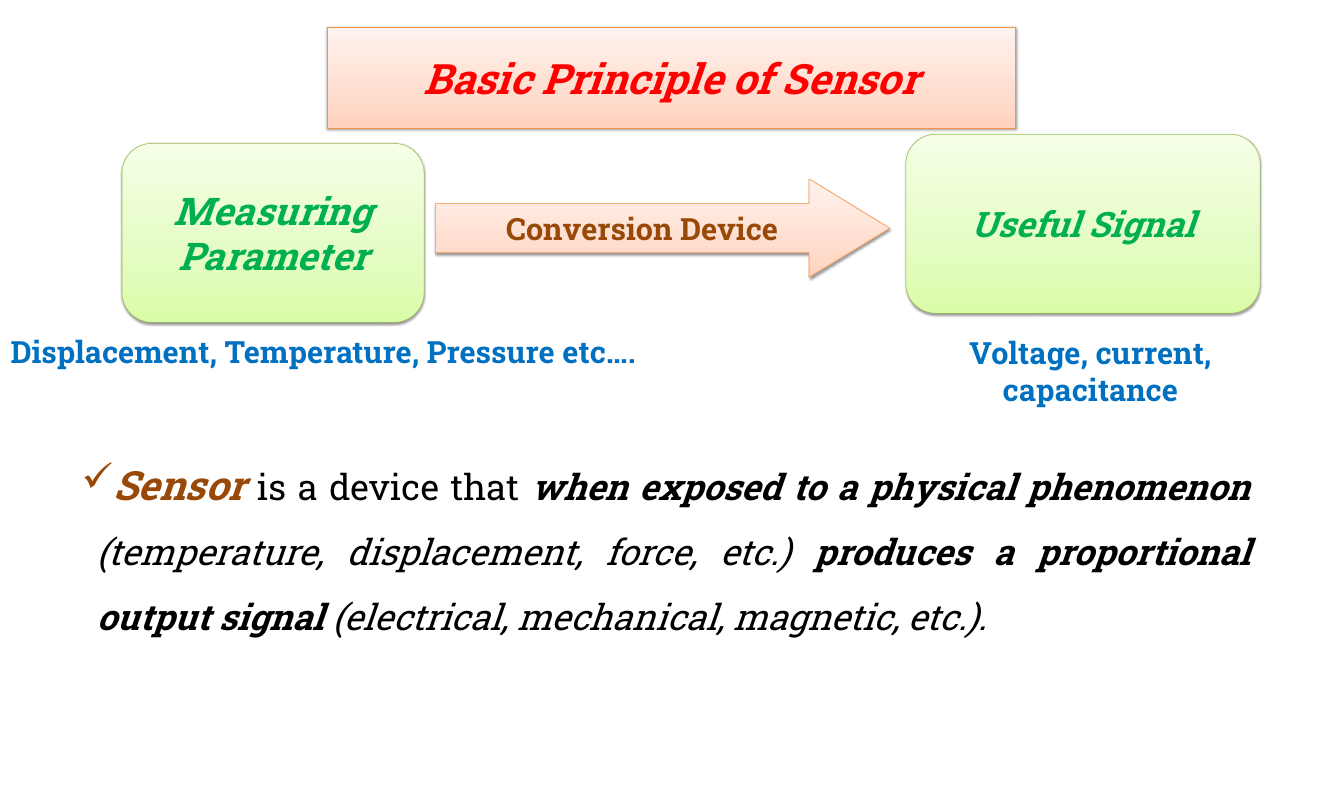
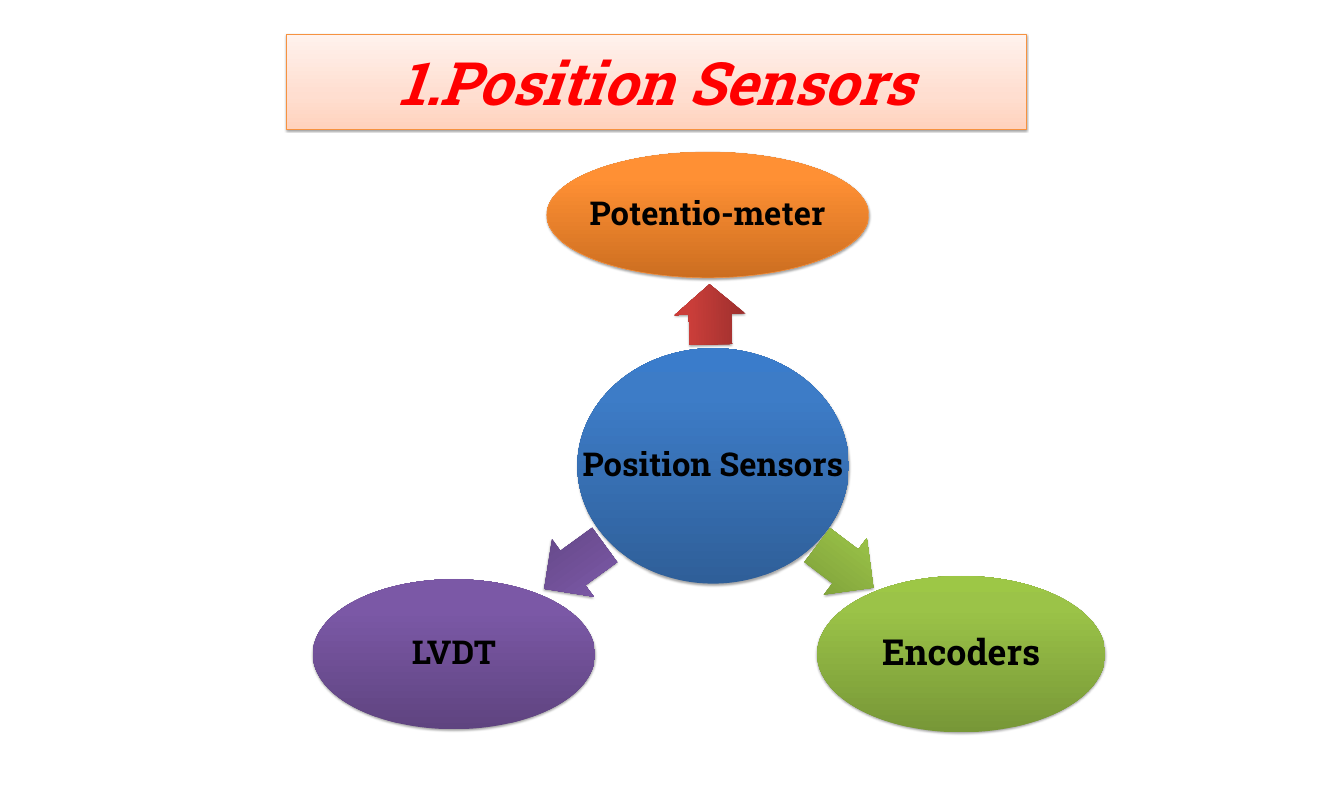
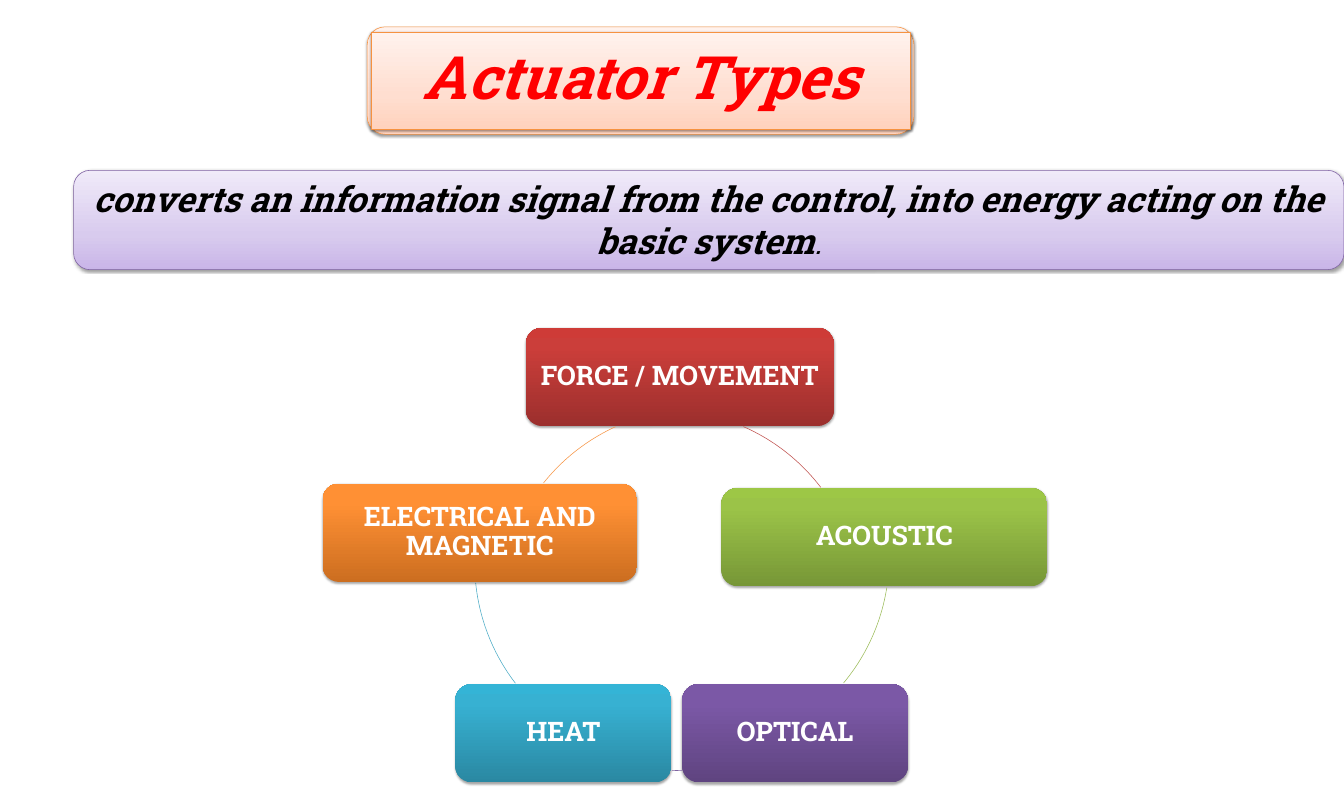
from dataclasses import dataclass
from typing import Optional

from lxml.etree import SubElement
from pptx import Presentation
from pptx.dml.color import RGBColor
from pptx.enum.shapes import MSO_SHAPE
from pptx.enum.text import MSO_ANCHOR, PP_ALIGN
from pptx.oxml.ns import qn
from pptx.shapes.autoshape import Shape
from pptx.slide import Slide
from pptx.text.text import Font, TextFrame
from pptx.util import Pt

FONT = "Roboto Slab"
COLORS = {
    "title": "FF0000", "text": "000000", "white": "FFFFFF", "term": "984807",
    "block": "00B050", "caption": "0070C0", "shadow": "000000",
    "orange_line": "F69240", "green_line": "98B955", "purple_line": "7D60A0",
    "red_arc": "C0504D", "green_arc": "9BBB59", "purple_arc": "8064A2",
    "teal_arc": "4BACC6", "orange_arc": "F79646",
}
# Gradient colours from bottom to top
GRADIENTS = {
    "pale_peach": ("FFD2BD", "FFDED0", "FFF2ED"),
    "pale_green": ("DAFDA7", "E4FCC2", "F5FFE7"),
    "pale_purple": ("C9B5E8", "D8CBEE", "F0EAF9"),
    "blue": ("2F5F99", "3D7CC7", "3A7CCB"),
    "red": ("9C2F2D", "CB3E3A", "CE3B37"),
    "orange": ("CC6E20", "FF9034", "FF9136"),
    "green": ("779737", "9BC348", "9DC746"),
    "purple": ("5F4480", "7B58A6", "7C57A8"),
    "teal": ("2A88A2", "37B1D2", "34B4D6"),
}


@dataclass(frozen=True)
class Box:
    left: float
    top: float
    width: float
    height: float

    def emu(self) -> tuple[Pt, Pt, Pt, Pt]:
        return Pt(self.left), Pt(self.top), Pt(self.width), Pt(self.height)


@dataclass(frozen=True)
class Style:
    size: float
    color: str = "text"
    bold: bool = True
    italic: bool = False


@dataclass(frozen=True)
class Span:
    text: str
    style: Style


@dataclass(frozen=True)
class Arrow:
    box: Box
    rotation: float
    gradient: str


@dataclass(frozen=True)
class Sensor:
    label: str
    box: Box
    gradient: str
    size: float = 44
    line: Optional[str] = None


@dataclass(frozen=True)
class Actuator:
    """A ring node, with the arc that leads clockwise to the next one."""
    label: str
    left: float
    top: float
    width: float
    gradient: str
    arc_left: float
    arc_top: float
    arc_start: float
    arc_end: float
    arc_color: str


def rgb(name: str) -> RGBColor:
    return RGBColor.from_string(COLORS[name])


def style_font(font: Font, style: Style) -> None:
    font.name = FONT
    font.size = Pt(style.size)
    font.bold = style.bold
    font.italic = style.italic
    font.color.rgb = rgb(style.color)


def set_insets(frame: TextFrame, side: float, end: float) -> None:
    frame.margin_left = frame.margin_right = Pt(side)
    frame.margin_top = frame.margin_bottom = Pt(end)


def write_lines(frame: TextFrame, lines: list[str], style: Style,
                spacing: float = 1, wrap: bool = True,
                anchor: MSO_ANCHOR = MSO_ANCHOR.MIDDLE) -> None:
    frame.word_wrap = wrap
    frame.vertical_anchor = anchor
    for index, line in enumerate(lines):
        paragraph = frame.add_paragraph() if index else frame.paragraphs[0]
        paragraph.text = line
        paragraph.alignment = PP_ALIGN.CENTER
        paragraph.line_spacing = spacing
        style_font(paragraph.font, style)


def write_spans(frame: TextFrame, spans: list[Span], align: PP_ALIGN) -> None:
    frame.word_wrap = True
    frame.vertical_anchor = MSO_ANCHOR.TOP
    paragraph = frame.paragraphs[0]
    paragraph.alignment = align
    for span in spans:
        run = paragraph.add_run()
        run.text = span.text
        style_font(run.font, span.style)


def fill_gradient(shape: Shape, name: str) -> None:
    """Fill upwards; pale gradients have their middle stop lower than strong ones."""
    shape.fill.gradient()
    shape.fill.gradient_angle = 90
    stops = shape.element.spPr.find(".//" + qn("a:gsLst"))
    for stop in list(stops):
        stops.remove(stop)
    middle = 35 if name.startswith("pale") else 80
    for position, color in zip((0, middle, 100), GRADIENTS[name]):
        stop = SubElement(stops, qn("a:gs"), pos=str(position * 1000))
        SubElement(stop, qn("a:srgbClr"), val=color)


def cast_shadow(shape: Shape, opacity: int, distance: float) -> None:
    shape.shadow.inherit = False
    effects = shape.element.spPr.find(qn("a:effectLst"))
    shadow = SubElement(effects, qn("a:outerShdw"), blurRad=str(Pt(3.1)),
                        dist=str(Pt(distance)), dir="5400000", rotWithShape="0")
    color = SubElement(shadow, qn("a:srgbClr"), val=COLORS["shadow"])
    SubElement(color, qn("a:alpha"), val=str(opacity * 1000))


def add_block(slide: Slide, kind: MSO_SHAPE, box: Box, gradient: str,
              line: Optional[str] = None) -> Shape:
    shape = slide.shapes.add_shape(kind, *box.emu())
    fill_gradient(shape, gradient)
    if line:
        shape.line.color.rgb = rgb(line)
        shape.line.width = Pt(0.75)
    else:
        shape.line.fill.background()
    if gradient.startswith("pale"):
        cast_shadow(shape, 38, 1.6)
    else:
        cast_shadow(shape, 35, 1.8)
    return shape


def add_title(slide: Slide, text: str, box: Box, size: float = 80,
              spacing: float = 1) -> None:
    banner = add_block(slide, MSO_SHAPE.RECTANGLE, box, "pale_peach", "orange_line")
    write_lines(banner.text_frame, [text], Style(size, "title", italic=True), spacing)


def add_caption(slide: Slide, text: str, box: Box) -> None:
    caption = slide.shapes.add_textbox(*box.emu())
    write_lines(caption.text_frame, [text], Style(41, "caption"), anchor=MSO_ANCHOR.TOP)


def add_definition(slide: Slide) -> None:
    definition = slide.shapes.add_textbox(*Box(97.2, 577.4, 1589.8, 362.9).emu())
    frame = definition.text_frame
    set_insets(frame, 12.2, 6.5)
    paragraph = frame.paragraphs[0]
    paragraph.line_spacing = 1.5
    properties = paragraph._p.get_or_add_pPr()
    properties.set("marL", str(Pt(20)))
    properties.set("indent", str(Pt(-20)))
    SubElement(properties, qn("a:buChar"), char="✓")
    strong = Style(48, italic=True)
    light = Style(48, bold=False, italic=True)
    write_spans(frame, [
        Span("Sensor", Style(54, "term", italic=True)),
        Span(" is a device that ", Style(48, bold=False)),
        Span("when exposed to a physical phenomenon ", strong),
        Span("(temperature, displacement, force, etc.) ", light),
        Span("produces a proportional output signal ", strong),
        Span("(electrical, mechanical, magnetic, etc.).", light),
    ], PP_ALIGN.JUSTIFY)


def build_principle(slide: Slide) -> None:
    add_title(slide, "Basic Principle of Sensor", Box(437.8, 36, 922.3, 135.4), 56)
    for lines, box, size in (
        (["Measuring", "Parameter"], Box(163.4, 192.2, 404.6, 239.8), 51),
        (["Useful Signal"], Box(1213.2, 180, 474.5, 239.8), 47),
    ):
        block = add_block(slide, MSO_SHAPE.ROUNDED_RECTANGLE, box, "pale_green", "green_line")
        write_lines(block.text_frame, lines, Style(size, "block", italic=True), wrap=False)
    conversion = add_block(slide, MSO_SHAPE.RIGHT_ARROW, Box(583.2, 239.8, 608.4, 131.8),
                           "pale_peach", "orange_line")
    conversion.adjustments[0] = 0.5
    conversion.adjustments[1] = 0.82
    write_lines(conversion.text_frame, ["Conversion Device"], Style(41, "term"), wrap=False)
    add_caption(slide, "Voltage, current, capacitance", Box(1198.1, 444.2, 524.9, 181.4))
    add_caption(slide, "Displacement, Temperature, Pressure etc….",
                Box(0, 442.8, 866.9, 181.4))
    add_definition(slide)


SENSORS = (
    Sensor("Position Sensors", Box(773.3, 466.6, 363.6, 315.4), "blue"),
    Sensor("Potentio-meter", Box(732.2, 203.8, 431.3, 168.5), "orange", line="orange_line"),
    Sensor("Encoders", Box(1094.4, 771.8, 385.9, 209.5), "green", 48),
    Sensor("LVDT", Box(419, 776.2, 378, 200.9), "purple"),
)
ARROWS = (
    Arrow(Box(910.8, 373.7, 80.6, 95), 268.8, "red"),
    Arrow(Box(1085, 711.4, 94.3, 95), 37.2, "green"),
    Arrow(Box(719.3, 712.1, 100.1, 95), 144, "purple"),
)


def build_position_sensors(slide: Slide) -> None:
    add_title(slide, "1.Position Sensors", Box(383, 45.4, 991.4, 127.4))
    for sensor in SENSORS:
        oval = add_block(slide, MSO_SHAPE.OVAL, sensor.box, sensor.gradient, sensor.line)
        set_insets(oval.text_frame, 4.5, 4.5)
        write_lines(oval.text_frame, [sensor.label], Style(sensor.size), 0.9, wrap=False)
    for arrow in ARROWS:
        pointer = add_block(slide, MSO_SHAPE.RIGHT_ARROW, arrow.box, arrow.gradient)
        pointer.adjustments[0] = 0.6
        pointer.adjustments[1] = 0.5
        pointer.rotation = arrow.rotation


NODE_HEIGHT = 131.8
RING_DIAMETER = 527.8
ACTUATORS = (
    Actuator("FORCE / MOVEMENT", 704.2, 439.2, 412.6, "red",
             625.7, 549.4, 293.7, 322.6, "red_arc"),
    Actuator("ACOUSTIC", 966.2, 653.8, 436.3, "green",
             663.1, 482.4, 9, 39.8, "green_arc"),
    Actuator("OPTICAL", 913.7, 916.6, 302.4, "purple",
             646.6, 504.7, 89.3, 92.3, "purple_arc"),
    Actuator("HEAT", 609.8, 916.6, 289.4, "teal",
             635.8, 491, 142.5, 174.3, "teal_arc"),
    Actuator("ELECTRICAL AND MAGNETIC", 432, 648, 421.2, "orange",
             670.3, 547.9, 218.6, 245.4, "orange_arc"),
)


def add_arc(slide: Slide, actuator: Actuator) -> None:
    ring = Box(actuator.arc_left, actuator.arc_top, RING_DIAMETER, RING_DIAMETER)
    arc = slide.shapes.add_shape(MSO_SHAPE.ARC, *ring.emu())
    # One degree is 60000 units, and an adjustment of 1 is 100000
    arc.adjustments[0] = actuator.arc_start * 0.6
    arc.adjustments[1] = actuator.arc_end * 0.6
    arc.fill.background()
    arc.line.color.rgb = rgb(actuator.arc_color)
    arc.line.width = Pt(0.75)
    arc.shadow.inherit = False


def build_actuators(slide: Slide) -> None:
    add_block(slide, MSO_SHAPE.ROUNDED_RECTANGLE, Box(491.8, 36, 732.2, 144),
              "pale_peach", "orange_line")
    add_title(slide, "Actuator Types", Box(496.8, 43.2, 722.9, 129.6), spacing=0.9)
    summary = add_block(slide, MSO_SHAPE.ROUNDED_RECTANGLE, Box(98.6, 228.2, 1701.4, 133.2),
                        "pale_purple", "purple_line")
    write_spans(summary.text_frame, [
        Span("converts an information signal from the control, into energy acting "
             "on the basic system", Style(47, italic=True)),
        Span(".", Style(40, bold=False, italic=True)),
    ], PP_ALIGN.CENTER)
    for actuator in ACTUATORS:
        box = Box(actuator.left, actuator.top, actuator.width, NODE_HEIGHT)
        node = add_block(slide, MSO_SHAPE.ROUNDED_RECTANGLE, box, actuator.gradient)
        set_insets(node.text_frame, 4.5, 4.5)
        write_lines(node.text_frame, [actuator.label], Style(36, "white"), 0.9)
        add_arc(slide, actuator)


def main() -> None:
    deck = Presentation()
    deck.slide_width, deck.slide_height = Pt(1800), Pt(1080)
    blank = deck.slide_layouts[6]
    for build in (build_principle, build_position_sensors, build_actuators):
        build(deck.slides.add_slide(blank))
    deck.save("out.pptx")


if __name__ == "__main__":
    main()
